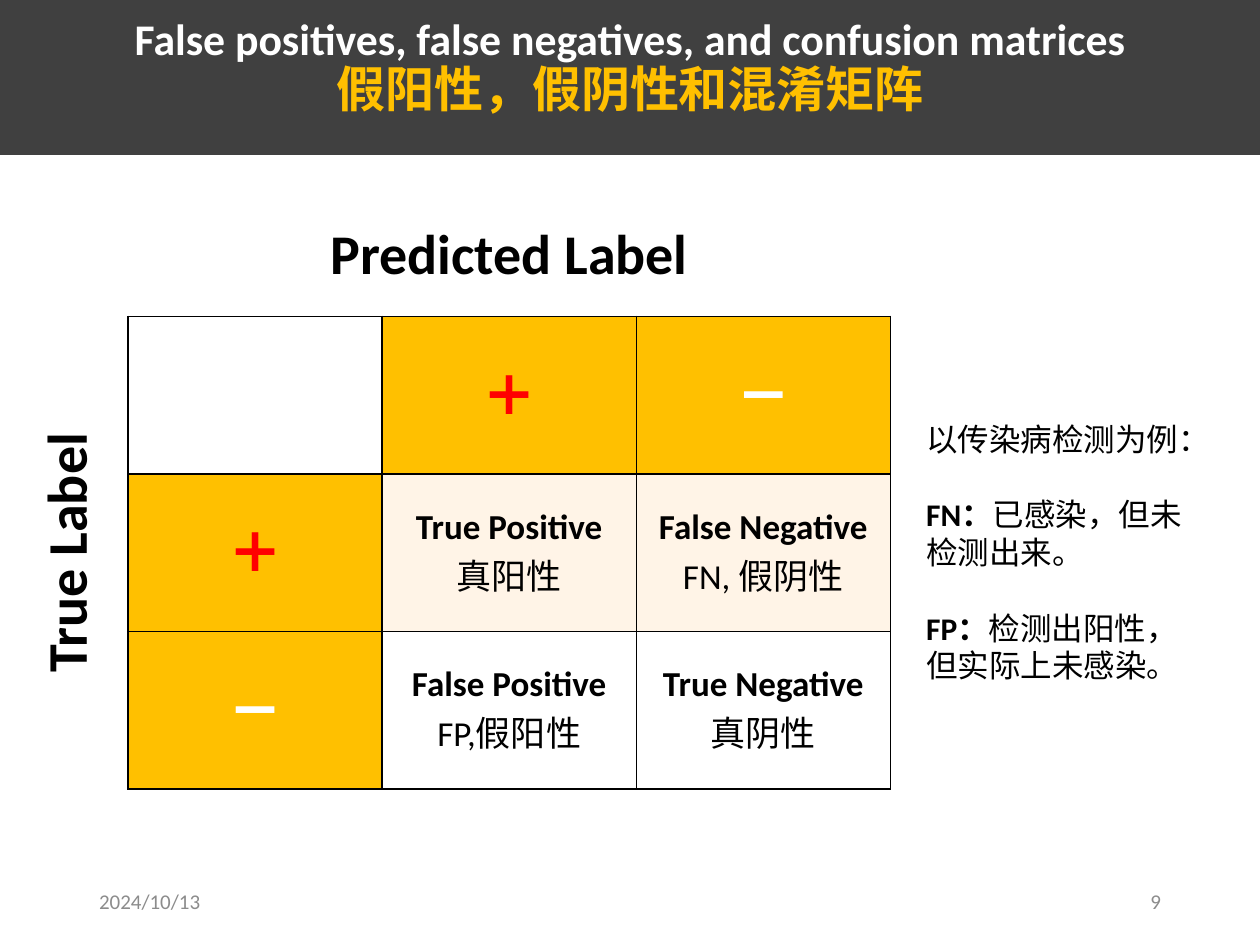
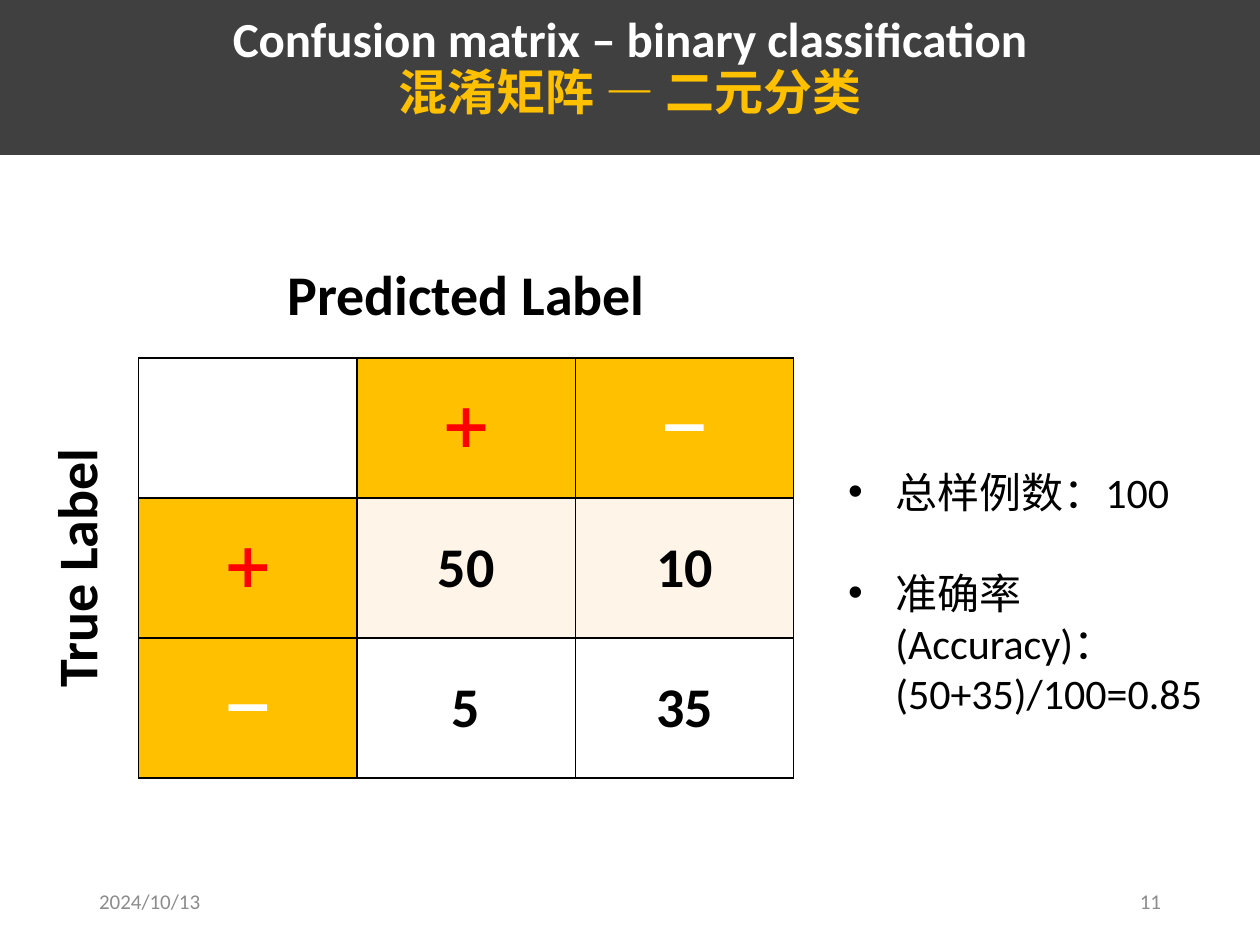
from dataclasses import dataclass

from lxml import etree
from pptx import Presentation
from pptx import util as u
from pptx.dml import color as dml
from pptx.enum import shapes, text
from pptx.oxml import ns

Pt = u.Pt
FONT = "Calibri"
DARK, GOLD, WHITE, BLACK = "404040", "FFC000", "FFFFFF", "000000"
RED, CREAM, GRAY = "FF0000", "FFF4E7", "8C8C8C"
PLUS, MINUS = "➕", "➖"
SIGNS = {PLUS: RED, MINUS: WHITE}
MID = text.MSO_ANCHOR.MIDDLE
LEFT, CENTER, RIGHT = text.PP_ALIGN.LEFT, text.PP_ALIGN.CENTER, text.PP_ALIGN.RIGHT


@dataclass
class Box:
    left: float
    top: float
    width: float
    height: float


@dataclass
class Grid:
    left: float
    top: float
    col: float
    row: float
    size: float
    cells: list[list[str]]


@dataclass
class Note:
    box: Box
    size: float
    mark: str
    indent: float
    lines: list[tuple[str, str]]


@dataclass
class Page:
    head: str
    sub: str
    size: float
    number: str
    grid: Grid
    note: Note


PAGES = [
    Page(
        "False positives, false negatives, and confusion matrices",
        "假阳性，假阴性和混淆矩阵", 25, "9",
        Grid(73.2, 180.8, 145.2, 90, 20, [
            ["True Positive\n真阳性", "False Negative\nFN, 假阴性"],
            ["False Positive\nFP,假阳性", "True Negative\n真阴性"],
        ]),
        Note(Box(522, 236.2, 171.4, 159.8), 18, "", 0, [
            ("", "以传染病检测为例："),
            ("FN：", "已感染，但未检测出来。"),
            ("FP：", "检测出阳性，但实际上未感染。"),
        ]),
    ),
    Page(
        "Confusion matrix – binary classification",
        "混淆矩阵 — 二元分类", 28, "11",
        Grid(79.2, 204.6, 124.8, 80, 32, [["50", "10"], ["5", "35"]]),
        Note(Box(477.4, 262.8, 224, 123.8), 24, "•", 27, [
            ("", "总样例数：100"),
            ("", "准确率(Accuracy)：(50+35)/100=0.85"),
        ]),
    ),
]


def rgb(code: str) -> dml.RGBColor:
    return dml.RGBColor.from_string(code)


def place(shape, box: Box) -> None:
    shape.left, shape.top = Pt(box.left), Pt(box.top)
    shape.width, shape.height = Pt(box.width), Pt(box.height)


def style(para, size: float, tint: str, bold: bool = False, align=CENTER) -> None:
    para.alignment = align
    for run in para.runs:
        font = run.font
        font.name, font.size, font.bold = FONT, Pt(size), bold
        font.color.rgb = rgb(tint)


def label(slide, words: str, box: Box, size: float, tint: str,
          bold: bool = False, align=CENTER, turn: float = 0) -> None:
    shape = slide.shapes.add_textbox(*map(Pt, (box.left, box.top, box.width, box.height)))
    shape.rotation = turn
    frame = shape.text_frame
    frame.word_wrap = True
    frame.vertical_anchor = MID
    frame.text = words
    style(frame.paragraphs[0], size, tint, bold, align)


def band(slide) -> None:
    shape = slide.shapes.add_shape(
        shapes.MSO_SHAPE.RECTANGLE, Pt(-0.7), Pt(-2.9), Pt(720.7), Pt(91.4))
    shape.shadow.inherit = False
    shape.fill.solid()
    shape.fill.fore_color.rgb = rgb(DARK)
    shape.line.fill.background()
    slide.shapes._spTree.insert(2, shape._element)


def title(slide, page: Page) -> None:
    shape = slide.shapes.title
    place(shape, Box(0, 5, 720, 68))
    frame = shape.text_frame
    frame.auto_size = text.MSO_AUTO_SIZE.NONE
    frame.vertical_anchor = MID
    frame.text = f"{page.head}\n{page.sub}"
    looks = [(page.size, WHITE), (28, GOLD)]
    for para, (size, tint) in zip(frame.paragraphs, looks):
        para.line_spacing = 0.9
        style(para, size, tint, True)


def border(cell) -> None:
    props = cell._tc.get_or_add_tcPr()
    for spot, side in enumerate(("lnL", "lnR", "lnT", "lnB")):
        line = etree.Element(ns.qn(f"a:{side}"), w=str(Pt(1)))
        fill = etree.SubElement(line, ns.qn("a:solidFill"))
        etree.SubElement(fill, ns.qn("a:srgbClr"), val=BLACK)
        props.insert(spot, line)


def paint(cell, words: str, fill: str, size: float) -> None:
    cell.fill.solid()
    cell.fill.fore_color.rgb = rgb(fill)
    border(cell)
    cell.vertical_anchor = MID
    cell.text = words
    for spot, para in enumerate(cell.text_frame.paragraphs):
        if words in SIGNS:
            style(para, 32, SIGNS[words], True)
        else:
            style(para, size, BLACK, spot == 0)


def matrix(slide, grid: Grid) -> None:
    wide, high = 3 * grid.col, 3 * grid.row
    table = slide.shapes.add_table(
        3, 3, Pt(grid.left), Pt(grid.top), Pt(wide), Pt(high)).table
    table.first_row = table.horz_banding = False
    for col in table.columns:
        col.width = Pt(grid.col)
    for row in table.rows:
        row.height = Pt(grid.row)
    rows = [["", PLUS, MINUS], [PLUS, *grid.cells[0]], [MINUS, *grid.cells[1]]]
    for r, row in enumerate(rows):
        for c, words in enumerate(row):
            fill = GOLD if words in SIGNS else CREAM if r == 1 else WHITE
            paint(table.cell(r, c), words, fill, grid.size)
    label(slide, "Predicted Label",
          Box(grid.left, grid.top - 60, wide, 46), 32, BLACK, True)
    label(slide, "True Label",
          Box(grid.left - 36.4 - high / 2, grid.top + high / 2 - 23, high, 46),
          32, BLACK, True, turn=270)


def bullet(para, mark: str, indent: float) -> None:
    props = para._p.get_or_add_pPr()
    props.set("marL", str(Pt(indent)))
    props.set("indent", str(-Pt(indent)))
    if mark:
        etree.SubElement(props, ns.qn("a:buFont"), typeface="Arial")
        etree.SubElement(props, ns.qn("a:buChar"), char=mark)
    else:
        etree.SubElement(props, ns.qn("a:buNone"))


def body(slide, note: Note) -> None:
    shape = slide.placeholders[1]
    place(shape, note.box)
    frame = shape.text_frame
    frame.auto_size = text.MSO_AUTO_SIZE.NONE
    for spot, (term, words) in enumerate(note.lines):
        para = frame.add_paragraph() if spot else frame.paragraphs[0]
        bullet(para, note.mark, note.indent)
        para.space_before = Pt(1.2 * note.size if spot else 0)
        for part in filter(None, (term, words)):
            para.add_run().text = part
        style(para, note.size, BLACK, align=LEFT)
        if term:
            para.runs[0].font.bold = True


def main() -> None:
    deck = Presentation()
    deck.slide_width, deck.slide_height = Pt(720), Pt(540)
    for page in PAGES:
        slide = deck.slides.add_slide(deck.slide_layouts[1])
        band(slide)
        title(slide, page)
        label(slide, "2024/10/13", Box(49.5, 500.5, 162, 28.8), 12, GRAY, align=LEFT)
        label(slide, page.number, Box(508.5, 500.5, 162, 28.8), 12, GRAY, align=RIGHT)
        matrix(slide, page.grid)
        body(slide, page.note)
    deck.save("out.pptx")


if __name__ == "__main__":
    main()
